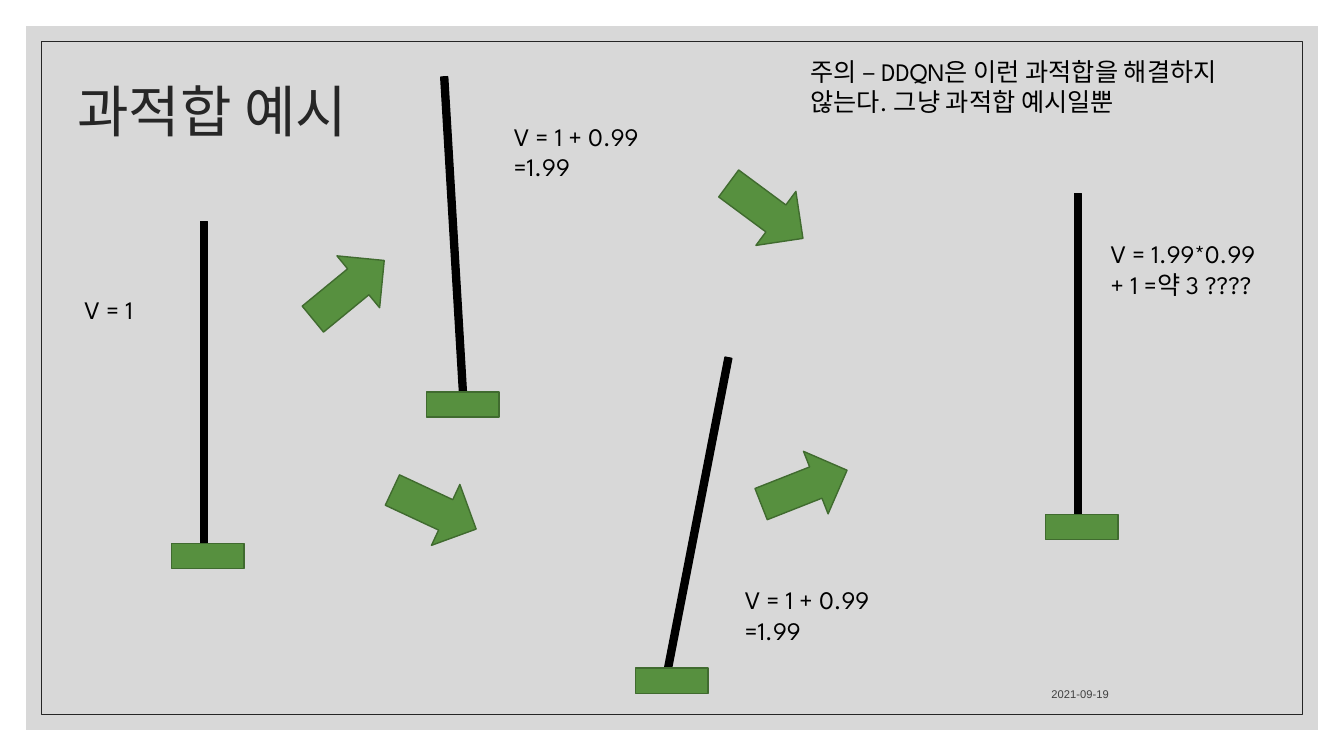
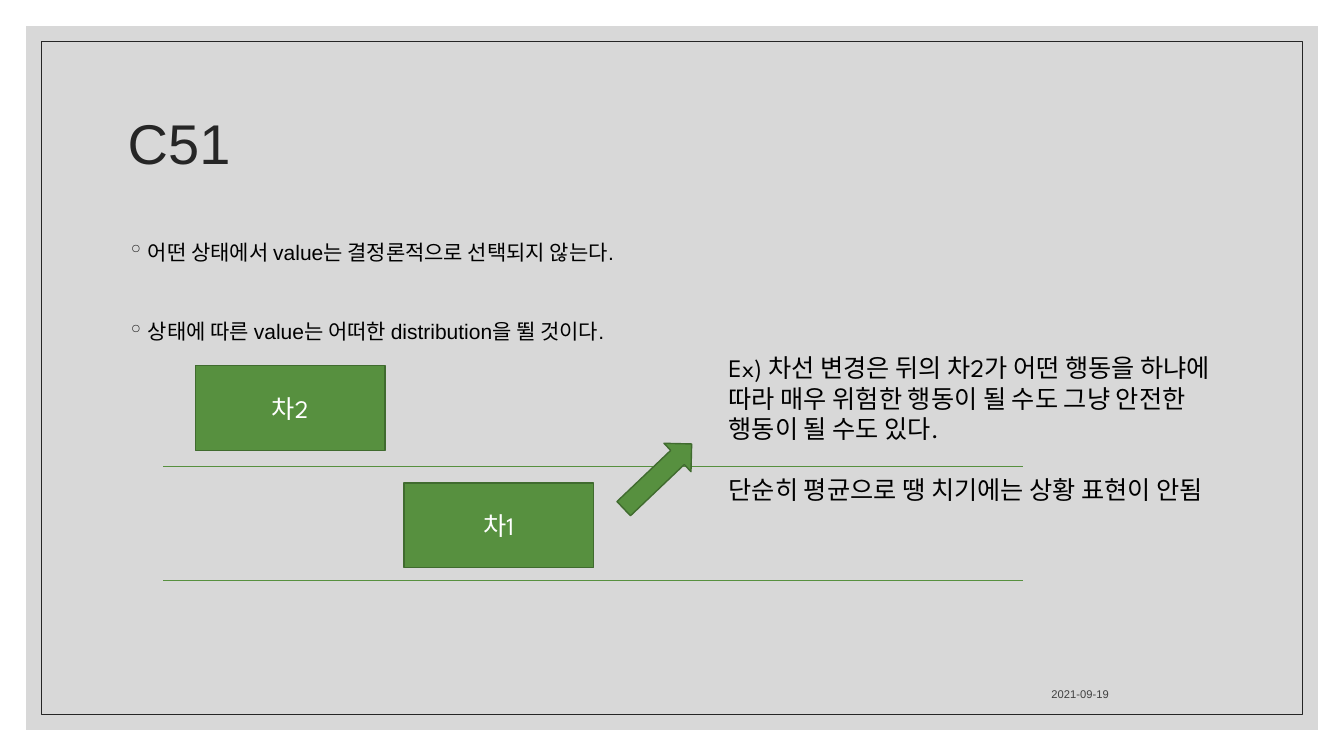
from lxml import etree
from pptx import Presentation
from pptx.dml.color import RGBColor
from pptx.enum.shapes import MSO_CONNECTOR, MSO_SHAPE
from pptx.enum.text import MSO_ANCHOR, PP_ALIGN
from pptx.oxml.ns import qn
from pptx.util import Pt

RECT, RIGHT, DOWN = MSO_SHAPE.RECTANGLE, MSO_SHAPE.RIGHT_ARROW, MSO_SHAPE.DOWN_ARROW
LINE = MSO_CONNECTOR.STRAIGHT
TOP, MID, LOW = MSO_ANCHOR.TOP, MSO_ANCHOR.MIDDLE, MSO_ANCHOR.BOTTOM
START, CENTER, END = PP_ALIGN.LEFT, PP_ALIGN.CENTER, PP_ALIGN.RIGHT

GREEN, EDGE, PANEL = "57903F", "406B2F", "D8D8D8"
BLACK, DARK, GRAY, WHITE = "000000", "262626", "404040", "FFFFFF"
SANS, NOTE = "Arial", "League Spartan"
WIDE, HIGH = 960, 540


def color(code):
    return RGBColor.from_string(code)


def write(frame, lines, size, font, ink, align=START, gap=0, lead=None):
    """Fill a text frame; gap is the space before each line after the first."""
    frame.word_wrap = True
    frame.text = "\n".join(lines)
    for i, para in enumerate(frame.paragraphs):
        para.alignment = align
        if lead:
            para.line_spacing = lead
        if i and gap:
            para.space_before = Pt(gap)
        for run in para.runs:
            run.font.size, run.font.name = Pt(size), font
            run.font.color.rgb = color(ink)


def label(slide, place, lines, size=18, font=NOTE, ink=BLACK, anchor=TOP, **style):
    box = slide.shapes.add_textbox(*map(Pt, place))
    write(box.text_frame, lines, size, font, ink, **style)
    box.text_frame.vertical_anchor = anchor
    return box


def block(slide, place, kind=RECT, fill=GREEN, edge=EDGE, width=1, turn=0):
    """Draw a preset shape; fill or edge may be None."""
    shape = slide.shapes.add_shape(kind, *map(Pt, place))
    shape.shadow.inherit = False
    shape.rotation = turn
    if fill:
        shape.fill.solid()
        shape.fill.fore_color.rgb = color(fill)
    else:
        shape.fill.background()
    if edge:
        shape.line.color.rgb = color(edge)
        shape.line.width = Pt(width)
    else:
        shape.line.fill.background()
    return shape


def rule(slide, left, right, y):
    line = slide.shapes.add_connector(LINE, Pt(left), Pt(y), Pt(right), Pt(y))
    line.line.color.rgb = color(GREEN)
    line.line.width = Pt(0.5)
    etree.SubElement(line._element.spPr, qn("a:effectLst"))


def bullet(para):
    props = para._p.get_or_add_pPr()
    props.set("marL", str(Pt(14.4)))
    props.set("indent", str(Pt(-14.4)))
    tint = etree.SubElement(props, qn("a:buClr"))
    etree.SubElement(tint, qn("a:srgbClr"), val=DARK)
    etree.SubElement(props, qn("a:buChar"), char="◦")


def cart(slide, pole, base, turn=0):
    """Draw a pole standing on its cart, each given by its left and top."""
    block(slide, (*pole, 5, 235), fill=BLACK, edge=BLACK, turn=turn)
    block(slide, (*base, 52, 18))


def car(slide, left, top, name):
    shape = block(slide, (left, top, 135.5, 60.5))
    write(shape.text_frame, [name], 18, NOTE, WHITE, CENTER)
    shape.text_frame.vertical_anchor = MID


def page(deck, title, left, top):
    """Add a slide with the shared panel, frame, title and date."""
    slide = deck.slides.add_slide(deck.slide_layouts[6])
    for inset, fill, edge in ((18.7, PANEL, None), (29.5, None, DARK)):
        place = (inset, inset, WIDE - 2 * inset, HIGH - 2 * inset)
        block(slide, place, fill=fill, edge=edge, width=0.5)
    label(slide, (left, top, 792, 108), [title], 40, SANS, DARK, MID, lead=0.9)
    label(slide, (571.7, 475.2, 227.5, 28.8), ["2021-09-19"], 8, SANS, GRAY, LOW, align=END)
    return slide


def overfit(deck):
    slide = page(deck, "과적합 예시", 48.2, 27.4)
    for pole, base, turn in (
        ((143.3, 158.4), (122.4, 388), 0),
        ((321.8, 54.7), (304.6, 280), -3.4),
        ((495.4, 253.4), (453.9, 477.2), 11),
        ((767.5, 138.2), (746.8, 367.5), 0),
    ):
        cart(slide, pole, base, turn)
    for left, top, turn in (
        (216, 183, -39.4),
        (277.2, 340, 25),
        (514, 126.7, 36.5),
        (541.4, 324, -21.5),
    ):
        block(slide, (left, top, 66, 48), RIGHT, turn=turn)
    for place, text in (
        ((53.3, 206.6, 64, 29), "V = 1"),
        ((360, 82.8, 120, 51), "V = 1 + 0.99 =1.99"),
        ((524.9, 414, 120, 51), "V = 1 + 0.99 =1.99"),
        ((786.2, 167, 129, 51), "V = 1.99*0.99 + 1 =약 3 ????"),
        ((571.7, 36.7, 351, 51), "주의 – DDQN은 이런 과적합을 해결하지 않는다. 그냥 과적합 예시일뿐"),
    ):
        label(slide, place, [text])


def spread(deck):
    slide = page(deck, "C51", 84.2, 50.4)
    points = [
        "어떤 상태에서 value는 결정론적으로 선택되지 않는다.",
        "상태에 따른 value는 어떠한 distribution을 뛸 것이다.",
    ]
    body = label(slide, (84.2, 165.6, 792, 303), points, 15, SANS, gap=37, lead=1.1)
    for para in body.text_frame.paragraphs:
        bullet(para)
    for y in (333.2, 414.7):
        rule(slide, 116.6, 730.8, y)
    car(slide, 288.5, 345, "차1")
    car(slide, 139.5, 261.2, "차2")
    block(slide, (455.8, 306.7, 28, 67), DOWN, turn=226.4)
    label(slide, (513.4, 248.4, 368, 138), [
        "Ex) 차선 변경은 뒤의 차2가 어떤 행동을 하냐에 따라 매우 위험한 행동이 될 수도 그냥 안전한 행동이 될 수도 있다.",
        "단순히 평균으로 땡 치기에는 상황 표현이 안됨",
    ], gap=22)


def main():
    deck = Presentation()
    deck.slide_width, deck.slide_height = Pt(WIDE), Pt(HIGH)
    overfit(deck)
    spread(deck)
    deck.save("out.pptx")


if __name__ == "__main__":
    main()
